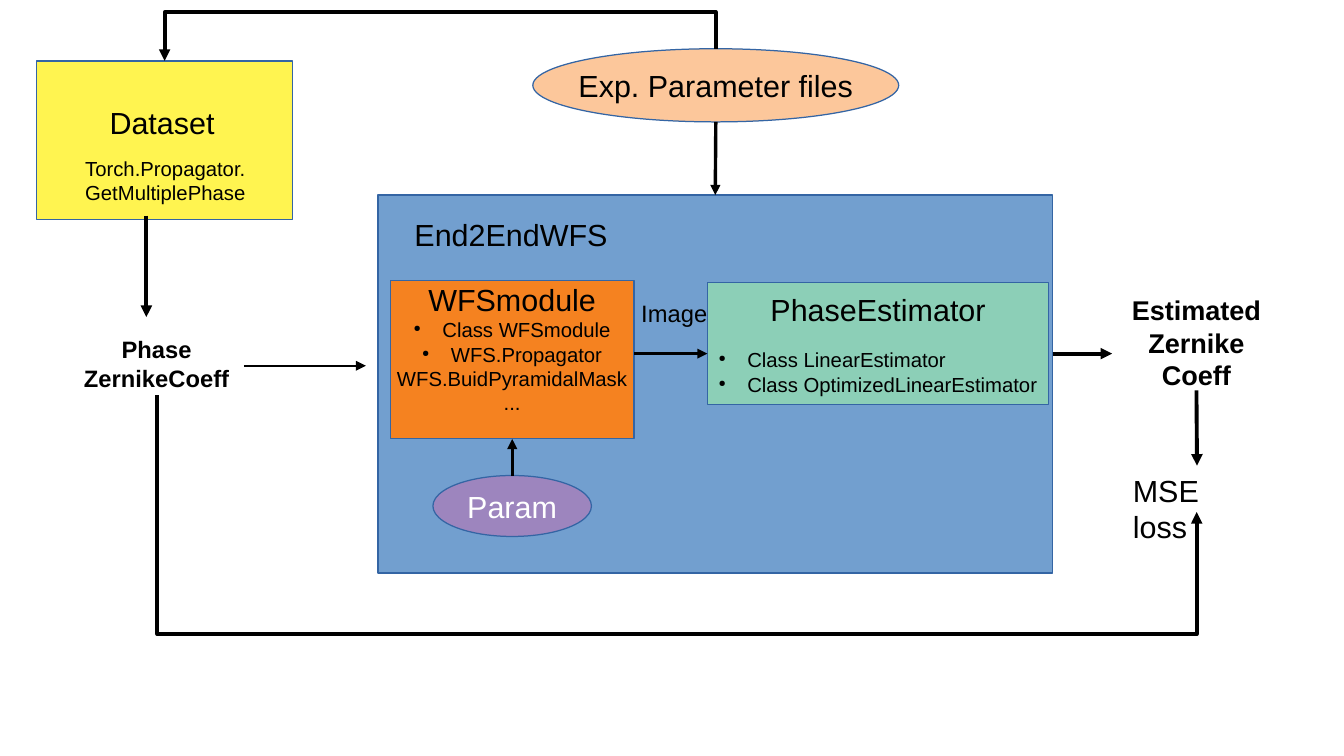
import pptx
import pptx.util
import pptx.dml.color
import pptx.enum.shapes
import pptx.enum.text
import pptx.oxml
import pptx.oxml.ns

Pt = pptx.util.Pt
SHAPES = pptx.enum.shapes.MSO_SHAPE
CONNECTORS = pptx.enum.shapes.MSO_CONNECTOR
ALIGN = pptx.enum.text.PP_ALIGN
ANCHOR = pptx.enum.text.MSO_ANCHOR
TOP, BOTTOM = 0, 2

COLOURS = {
    "ink": "000000",
    "paper": "FFFFFF",
    "outline": "3465A4",
    "dataset": "FFF450",
    "end_to_end": "729FCF",
    "sensor": "F58220",
    "estimator": "8CCFB7",
    "param": "9D85BE",
    "files": "FCC79B",
}


class Diagram:
    def __init__(self, slide, font="Arial"):
        self.slide = slide
        self.font = font

    def colour(self, name):
        return pptx.dml.color.RGBColor.from_string(COLOURS[name])

    def element(self, parent, tag, **attributes):
        child = pptx.oxml.parse_xml(f"<a:{tag} {pptx.oxml.ns.nsdecls('a')}/>")
        for name, value in attributes.items():
            child.set(name, value)
        parent.append(child)
        return child

    def format_runs(self, paragraph, size, colour="ink", bold=False):
        for run in paragraph.runs:
            run.font.name = self.font
            run.font.size = Pt(size)
            run.font.bold = bold
            run.font.color.rgb = self.colour(colour)

    def fill_text(self, shape, text, size, colour="ink", bold=False, align=ALIGN.CENTER):
        frame = shape.text_frame
        frame.text = text
        frame.word_wrap = False
        for paragraph in frame.paragraphs:
            paragraph.alignment = align
            self.format_runs(paragraph, size, colour, bold)

    def block(self, kind, left, top, width, height, fill, text="", colour="ink"):
        shape = self.slide.shapes.add_shape(kind, Pt(left), Pt(top), Pt(width), Pt(height))
        shape.shadow.inherit = False
        shape.fill.solid()
        shape.fill.fore_color.rgb = self.colour(fill)
        shape.line.color.rgb = self.colour("outline")
        shape.line.width = Pt(0)
        if text:
            shape.text_frame.vertical_anchor = ANCHOR.MIDDLE
            self.fill_text(shape, text, 18, colour)
        return shape

    def details(self, shape, bulleted, align, gap=0):
        paragraphs = shape.text_frame.paragraphs[1:]
        for index, paragraph in enumerate(paragraphs):
            paragraph.alignment = align
            if index < bulleted:
                self.bullet(paragraph)
            self.format_runs(paragraph, 12)
        paragraphs[0].space_before = Pt(gap)

    def bullet(self, paragraph):
        properties = paragraph._p.get_or_add_pPr()
        properties.set("marL", str(Pt(17)))
        properties.set("indent", str(-Pt(17)))
        bullet_colour = self.element(properties, "buClr")
        self.element(bullet_colour, "srgbClr", val=COLOURS["ink"])
        self.element(properties, "buSzPct", val="45000")
        self.element(properties, "buChar", char="●")

    def label(self, left, top, width, height, text, size, bold=False, align=ALIGN.LEFT):
        box = self.slide.shapes.add_textbox(Pt(left), Pt(top), Pt(width), Pt(height))
        self.fill_text(box, text, size, bold=bold, align=align)
        box.text_frame.auto_size = pptx.enum.text.MSO_AUTO_SIZE.SHAPE_TO_FIT_TEXT
        return box

    def arrow(self, start, end, width, kind=CONNECTORS.STRAIGHT):
        connector = self.slide.shapes.add_connector(kind, *(Pt(value) for value in (*start, *end)))
        connector.line.color.rgb = self.colour("ink")
        connector.line.width = Pt(width)
        self.element(connector.line._get_or_add_ln(), "tailEnd", type="triangle")
        self.element(connector._element.spPr, "effectLst")
        return connector

    def detour(self, start, end, turn, width):
        across, down = end[0] - start[0], end[1] - start[1]
        middle_x, middle_y = (start[0] + end[0]) / 2, (start[1] + end[1]) / 2
        side = 1 if across >= 0 else -1
        half_x, half_y = -side * down / 2, side * across / 2
        connector = self.arrow(
            (middle_x - half_x, middle_y - half_y),
            (middle_x + half_x, middle_y + half_y),
            width,
            CONNECTORS.ELBOW,
        )
        properties = connector._element.spPr
        properties.xfrm.set("rot", str((270 if side > 0 else 90) * 60000))
        adjustment = round((turn - start[1]) / down * 100000)
        adjustments = properties.prstGeom.get_or_add_avLst()
        self.element(adjustments, "gd", name="adj1", fmla=f"val {adjustment}")


def main():
    presentation = pptx.Presentation()
    presentation.slide_width = Pt(793.44)
    presentation.slide_height = Pt(446.4)
    diagram = Diagram(presentation.slides.add_slide(presentation.slide_layouts[6]))

    diagram.block(SHAPES.RECTANGLE, 21.6, 36, 151.2, 93.6, "dataset")
    end_to_end = diagram.block(SHAPES.RECTANGLE, 223.2, 115.2, 398.2, 223.2, "end_to_end")
    diagram.label(237.6, 123.8, 128.2, 27.4, "End2EndWFS", 18)

    sensor = diagram.block(
        SHAPES.RECTANGLE, 230.4, 165.6, 144, 93.6, "sensor",
        "WFSmodule\nClass WFSmodule\nWFS.Propagator\nWFS.BuidPyramidalMask\n...",
    )
    diagram.details(sensor, 2, ALIGN.CENTER)
    sensor.text_frame.margin_bottom = Pt(17.4)

    estimator = diagram.block(
        SHAPES.RECTANGLE, 417.6, 167, 201.6, 72, "estimator",
        "PhaseEstimator\nClass LinearEstimator\nClass OptimizedLinearEstimator",
    )
    diagram.details(estimator, 2, ALIGN.LEFT, gap=11.5)

    diagram.label(42.5, 194.4, 100, 38.9, "Phase\nZernikeCoeff", 14, True, ALIGN.CENTER)
    estimate = diagram.label(661, 170, 90.7, 60.5, "Estimated\nZernike\nCoeff", 16, True, ALIGN.CENTER)
    diagram.label(43.2, 88.6, 109.4, 33.8, "Torch.Propagator.\nGetMultiplePhase", 12)
    loss = diagram.label(661.7, 275, 90, 27.4, "MSE loss", 18)
    diagram.label(371.5, 172.8, 53.3, 23, "Image", 14)
    diagram.label(57.6, 57.6, 76.3, 27.4, "Dataset", 18)
    param = diagram.block(SHAPES.OVAL, 255.6, 280.8, 93.6, 36, "param", "Param", "paper")
    diagram.block(SHAPES.OVAL, 314.6, 28.8, 216, 43.2, "files", "Exp. Parameter files")

    diagram.arrow((144, 216), (216, 216), 1.5)
    diagram.arrow((374.4, 208.8), (417.6, 208.8), 1.5)
    diagram.arrow((621.4, 208.8), (656.6, 208.8), 2.3)
    diagram.arrow((86.4, 127.4), (86.4, 187.2), 2.3)

    files_arrow = diagram.arrow((422.6, 72), (422.3, 115.2), 0)
    files_arrow.end_connect(end_to_end, TOP)
    param_arrow = diagram.arrow((302.4, 280.8), (302.4, 259.2), 0)
    param_arrow.begin_connect(param, TOP)
    param_arrow.end_connect(sensor, BOTTOM)
    loss_arrow = diagram.arrow((706.4, 230.5), (706.7, 275), 2.3)
    loss_arrow.begin_connect(estimate, BOTTOM)
    loss_arrow.end_connect(loss, TOP)

    diagram.detour((92.9, 233.3), (706.5, 302.4), 374.4, 2.3)
    diagram.detour((422.6, 28.8), (97.2, 36), 7.2, 2.3)
    presentation.save("out.pptx")


if __name__ == "__main__":
    main()
